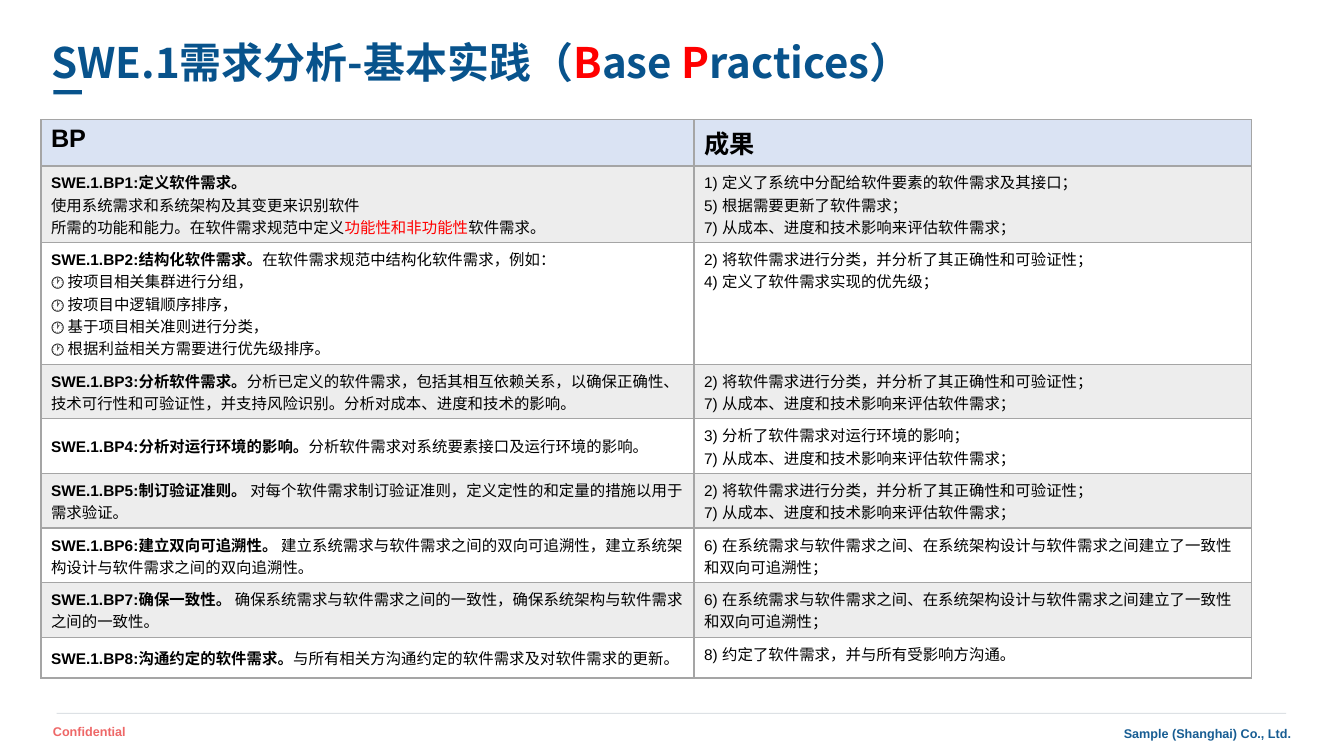
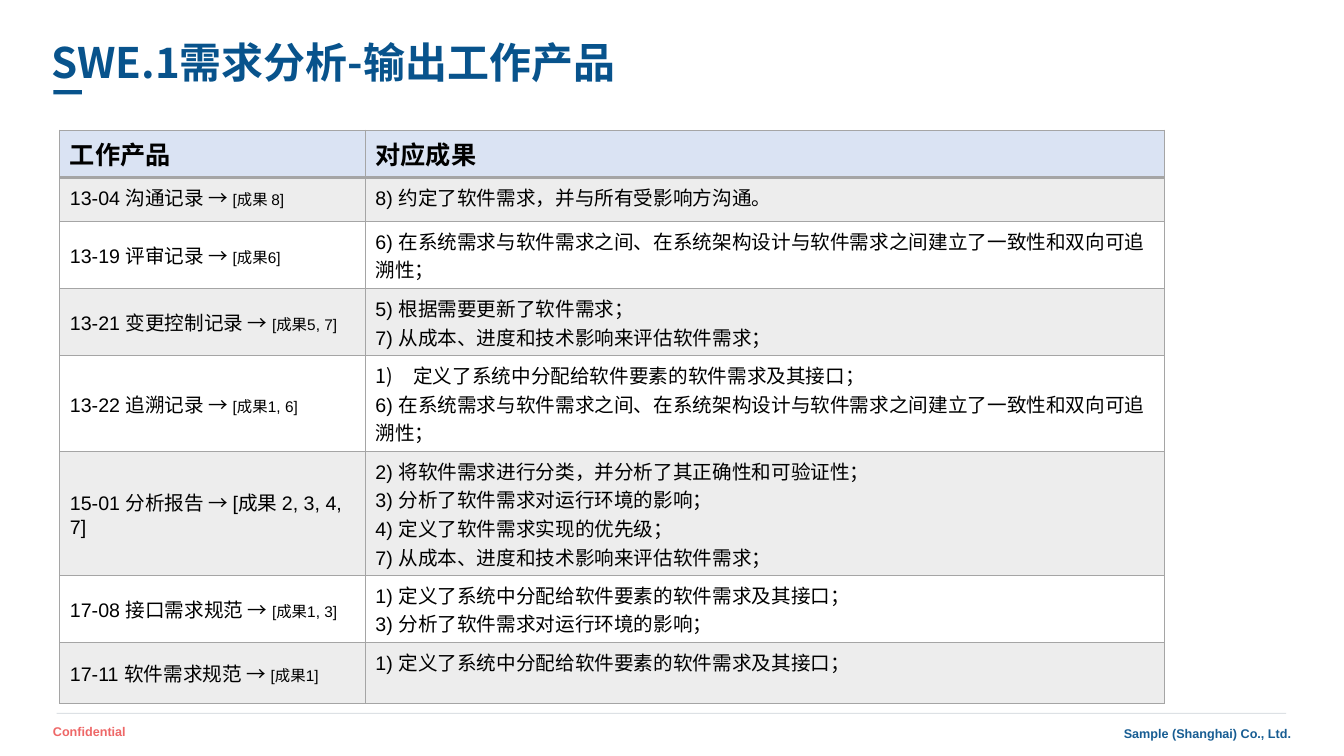
import dataclasses

import pptx
import pptx.dml.color
import pptx.enum.shapes
import pptx.enum.text
import pptx.oxml
import pptx.oxml.ns
import pptx.util
from lxml import etree

ANCHOR = pptx.enum.text.MSO_ANCHOR
ALIGN = pptx.enum.text.PP_ALIGN
qn = pptx.oxml.ns.qn


@dataclasses.dataclass(frozen=True)
class Theme:
    brand: str = "08538C"
    accent: str = "FF0000"
    text: str = "000000"
    confidential: str = "EE6767"
    company: str = "175D93"
    rule: str = "DDE1E5"
    header_fill: str = "DAE3F3"
    grid: str = "A5A5A5"
    band_alpha: int = 20
    latin: str = "Arial"
    cjk: str = "Noto Sans CJK SC"
    label: str = "Roboto"
    title_size: int = 30
    header_size: int = 18
    product_size: int = 14
    practice_size: int = 11
    footer_size: int = 9


@dataclasses.dataclass
class Paragraph:
    """Runs are (text, format) pairs; formats override the cell's format."""
    runs: list
    numbered: bool = False


THEME = Theme()
HEADER = {"size": THEME.header_size, "bold": True}
PRACTICE = {"size": THEME.practice_size}
PRODUCT = {"size": THEME.product_size}
TITLE = {"name": THEME.cjk, "size": THEME.title_size, "bold": True, "color": THEME.brand}
STRONG = {"bold": True}
RED = {"color": THEME.accent}

OUTCOMES = {
    1: "定义了系统中分配给软件要素的软件需求及其接口；",
    2: "将软件需求进行分类，并分析了其正确性和可验证性；",
    3: "分析了软件需求对运行环境的影响；",
    4: "定义了软件需求实现的优先级；",
    5: "根据需要更新了软件需求；",
    6: "在系统需求与软件需求之间、在系统架构设计与软件需求之间建立了一致性和双向可追溯性；",
    7: "从成本、进度和技术影响来评估软件需求；",
    8: "约定了软件需求，并与所有受影响方沟通。",
}

# Practice name, lines of description (each a list of runs), outcome numbers
PRACTICES = [
    ("定义软件需求。",
     [[],
      [("使用系统需求和系统架构及其变更来识别软件", {})],
      [("所需的功能和能力。在软件需求规范中定义", {}),
       ("功能性和非功能性", RED), ("软件需求。", {})]],
     [1, 5, 7]),
    ("结构化软件需求。",
     [[("在软件需求规范中结构化软件需求，例如：", {})],
      [("🕐 按项目相关集群进行分组，", {})],
      [("🕐 按项目中逻辑顺序排序，", {})],
      [("🕐 基于项目相关准则进行分类，", {})],
      [("🕐 根据利益相关方需要进行优先级排序。", {})]],
     [2, 4]),
    ("分析软件需求。",
     [[("分析已定义的软件需求，包括其相互依赖关系，以确保正确性、技术可行性和可验证性，"
        "并支持风险识别。分析对成本、进度和技术的影响。", {})]],
     [2, 7]),
    ("分析对运行环境的影响。",
     [[("分析软件需求对系统要素接口及运行环境的影响。", {})]],
     [3, 7]),
    ("制订验证准则。 ",
     [[("对每个软件需求制订验证准则，定义定性的和定量的措施以用于需求验证。", {})]],
     [2, 7]),
    ("建立双向可追溯性。 ",
     [[("建立系统需求与软件需求之间的双向可追溯性，建立系统架构设计与软件需求之间的双向追溯性。", {})]],
     [6]),
    ("确保一致性。 ",
     [[("确保系统需求与软件需求之间的一致性，确保系统架构与软件需求之间的一致性。", {})]],
     [6]),
    ("沟通约定的软件需求。",
     [[("与所有相关方沟通约定的软件需求及对软件需求的更新。", {})]],
     [8]),
]

# Code, name, label before the references, size of the references, outcome numbers
PRODUCTS = [
    ("13-04", "沟通记录", "成果 ", 11, [8]),
    ("13-19", "评审记录", "成果", 11, [6]),
    ("13-21", "变更控制记录", "成果", 11, [5, 7]),
    ("13-22", "追溯记录", "成果", 11, [1, 6]),
    ("15-01", "分析报告", "成果 ", 14, [2, 3, 4, 7]),
    ("17-08", "接口需求规范", "成果", 11, [1, 3]),
    ("17-11", "软件需求规范", "成果", 11, [1]),
]


def px(length):
    return pptx.util.Emu(length * 9525)


def rgb(color):
    return pptx.dml.color.RGBColor.from_string(color)


def format_run(run, style):
    values = {"name": THEME.latin, "bold": False, "color": THEME.text, **style}
    run.font.color.rgb = rgb(values.pop("color"))
    values["size"] = pptx.util.Pt(values["size"])
    for attribute, value in values.items():
        setattr(run.font, attribute, value)
    east_asian = etree.SubElement(run.font._element, qn("a:ea"))
    east_asian.set("typeface", THEME.cjk)


def number_paragraph(paragraph):
    properties = paragraph._p.get_or_add_pPr()
    properties.set("marL", str(px(36)))
    properties.set("indent", str(-px(36)))
    etree.SubElement(properties, qn("a:buFont")).set("typeface", THEME.cjk)
    etree.SubElement(properties, qn("a:buAutoNum")).set("type", "arabicParenR")


def write_text(frame, paragraphs, base):
    for index, content in enumerate(paragraphs):
        paragraph = frame.add_paragraph() if index else frame.paragraphs[0]
        if content.numbered:
            number_paragraph(paragraph)
        for text, style in content.runs:
            run = paragraph.add_run()
            run.text = text
            format_run(run, {**base, **style})


def plain(text):
    return [Paragraph([(text, {})])]


def add_bar(slide, box, color):
    bar = slide.shapes.add_shape(pptx.enum.shapes.MSO_SHAPE.RECTANGLE, *map(px, box))
    bar.shadow.inherit = False
    bar.fill.solid()
    bar.fill.fore_color.rgb = rgb(color)
    bar.line.fill.background()


def add_footer_text(slide, box, text, color, alignment):
    frame = slide.shapes.add_textbox(*map(px, box)).text_frame
    frame.word_wrap = True
    write_text(frame, plain(text),
               {"size": THEME.footer_size, "bold": True, "color": color})
    frame.paragraphs[0].alignment = alignment


def add_footer(slide, left, top, width):
    add_bar(slide, (left, top, width, 1), THEME.rule)
    add_footer_text(slide, (left - 13, top + 6, 267, 24), "Confidential",
                    THEME.confidential, ALIGN.LEFT)
    add_footer_text(slide, (left + width - 542, top + 8, 556, 24),
                    "Sample (Shanghai) Co., Ltd.", THEME.company, ALIGN.RIGHT)


def add_title(slide, box, runs):
    title = slide.shapes.title
    for attribute, value in zip(("left", "top", "width", "height"), box):
        setattr(title, attribute, px(value))
    frame = title.text_frame
    frame_format = {"vertical_anchor": ANCHOR.MIDDLE, "word_wrap": True,
                    "auto_size": pptx.enum.text.MSO_AUTO_SIZE.NONE}
    for attribute, value in frame_format.items():
        setattr(frame, attribute, value)
    write_text(frame, [Paragraph(runs)], TITLE)
    frame.paragraphs[0].alignment = ALIGN.LEFT
    frame.paragraphs[0].line_spacing = 0.9
    left, top, _, height = box
    add_bar(slide, (left + 12, top + height - 6, 27, 4), THEME.brand)


def add_slide(deck, title_runs):
    slide = deck.slides.add_slide(deck.slide_layouts[5])
    add_title(slide, (39, 31, 1104, 61), title_runs)
    add_footer(slide, 54, 679, 1171)
    return slide


def fill_cell(cell, row):
    """Header rows are tinted, odd body rows are a translucent grey."""
    if row and row % 2 == 0:
        cell.fill.background()
        return
    cell.fill.solid()
    cell.fill.fore_color.rgb = rgb(THEME.grid if row else THEME.header_fill)
    if row:
        color = cell._tc.tcPr.find(".//" + qn("a:srgbClr"))
        etree.SubElement(color, qn("a:alpha")).set("val", str(THEME.band_alpha * 1000))


def border_cell(cell, row):
    widths = {"L": 1, "R": 1, "T": 2 if row == 1 else 1, "B": 1 if row else 2}
    for index, (side, width) in enumerate(widths.items()):
        line = etree.Element(qn(f"a:ln{side}"), w=str(pptx.util.Pt(width)))
        fill = etree.SubElement(line, qn("a:solidFill"))
        etree.SubElement(fill, qn("a:srgbClr")).set("val", THEME.grid)
        cell._tc.tcPr.insert(index, line)


def add_grid(slide, origin, widths, heights, headings, body, body_style):
    rows = [[plain(heading) for heading in headings]] + body
    table = slide.shapes.add_table(
        len(rows), len(widths), *map(px, (*origin, sum(widths), sum(heights)))).table
    table.horz_banding = False
    for column, width in zip(table.columns, widths):
        column.width = px(width)
    for row, (height, contents) in enumerate(zip(heights, rows)):
        table.rows[row].height = px(height)
        for column, paragraphs in enumerate(contents):
            cell = table.cell(row, column)
            centred = row > 1 and column == 0
            cell.vertical_anchor = ANCHOR.MIDDLE if centred else ANCHOR.TOP
            write_text(cell.text_frame, paragraphs, body_style if row else HEADER)
            fill_cell(cell, row)
            border_cell(cell, row)


def list_outcomes(numbers):
    return [Paragraph([(f"{number}) {OUTCOMES[number]}", {})]) for number in numbers]


def describe_practice(number, name, lines):
    heading = (f"SWE.1.BP{number}:{name}", STRONG)
    return [Paragraph([heading] + lines[0])] + [Paragraph(line) for line in lines[1:]]


def describe_product(code, name, label, size, numbers):
    references = ", ".join(map(str, numbers))
    return [Paragraph([
        (f"{code} ", {}),
        (f"{name} ", {"name": THEME.label}),
        ("→ ", {}),
        ("[", {"size": size}),
        (label, {"size": size, "name": THEME.label}),
        (f"{references}]", {"size": size}),
    ])]


def build_practices(deck):
    slide = add_slide(deck, [("SWE.1需求分析-基本实践（", {}), ("B", RED), ("ase ", {}),
                             ("P", RED), ("ractices）", {})])
    body = [[describe_practice(number, name, lines), list_outcomes(outcomes)]
            for number, (name, lines, outcomes) in enumerate(PRACTICES, 1)]
    add_grid(slide, (39, 114), (622, 531), (44, 73, 116, 52, 52, 52, 52, 52, 39),
             ("BP", "成果"), body, PRACTICE)


def build_products(deck):
    slide = add_slide(deck, [("SWE.1需求分析-输出工作产品", {})])
    body = [[describe_product(*product), list_outcomes(product[-1])]
            for product in PRODUCTS]
    traceability = body[3][1]
    traceability[0] = Paragraph([(OUTCOMES[1], {})], numbered=True)
    add_grid(slide, (57, 124), (291, 761), (45, 42, 64, 64, 91, 118, 64, 58),
             ("工作产品", "对应成果"), body, PRODUCT)


def main():
    deck = pptx.Presentation()
    deck.slide_width, deck.slide_height = px(1280), px(720)
    build_practices(deck)
    build_products(deck)
    deck.save("out.pptx")


if __name__ == "__main__":
    main()
